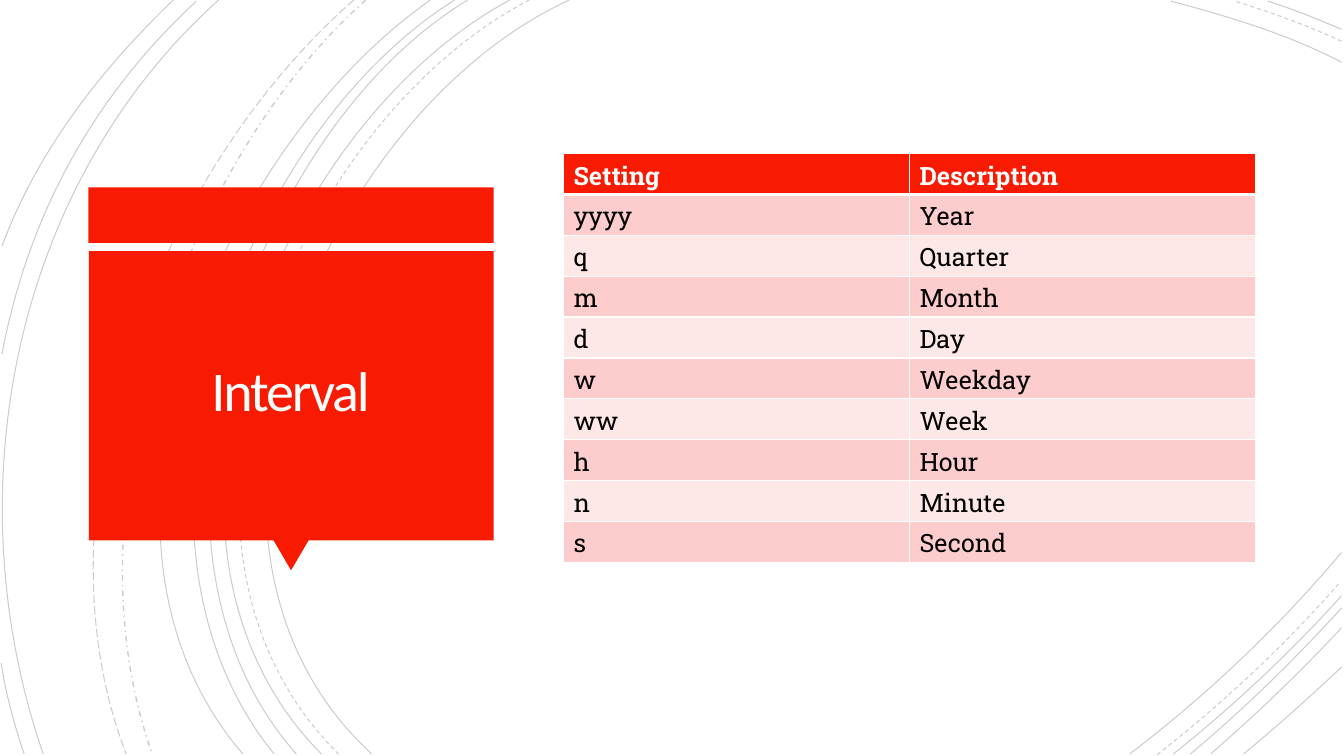
import dataclasses
import typing

import lxml.etree
import pptx
import pptx.dml.color
import pptx.enum.dml
import pptx.enum.shapes
import pptx.enum.text
import pptx.oxml.ns
import pptx.util

Cm = pptx.util.Cm
Pt = pptx.util.Pt
RGBColor = pptx.dml.color.RGBColor
Dash = pptx.enum.dml.MSO_LINE
Preset = pptx.enum.shapes.MSO_SHAPE
qn = pptx.oxml.ns.qn

RED = RGBColor(0xF8, 0x1B, 0x02)
DARK_BAND = RGBColor(0xFC, 0xCD, 0xCC)
LIGHT_BAND = RGBColor(0xFE, 0xE8, 0xE7)
WHITE = RGBColor(0xFF, 0xFF, 0xFF)
TITLE_WHITE = RGBColor(0xFF, 0xFE, 0xFF)
BLACK = RGBColor(0, 0, 0)


@dataclasses.dataclass
class Arc:
    """A cubic curve: start, two control points and end, in centimetres."""
    points: list[tuple[float, float]]
    dash: typing.Any = Dash.SOLID
    width: float = 0.75


@dataclasses.dataclass
class Block:
    preset: typing.Any
    left: float
    top: float
    width: float
    height: float
    rotation: int = 0


ARCS = [
    Arc([(14.35, 0), (8, 2.92), (3.63, 13.72), (9.37, 19)]),
    Arc([(33.81, 1.57), (32.46, 0.86), (30.94, 0.41), (29.51, 0.03)]),
    Arc([(28.47, 19), (30.4, 17.53), (32.23, 15.8), (33.81, 13.92)]),
    Arc([(13.34, 0), (7.24, 3.18), (3.12, 13.64), (8.53, 19)], Dash.DASH),
    Arc([(33.81, 1.04), (32.94, 0.64), (32, 0.3), (31.12, 0.03)], Dash.DASH),
    Arc([(29.16, 19.02), (30.81, 17.73), (32.39, 16.26), (33.78, 14.66)], Dash.DASH),
    Arc([(12.85, 0), (6.86, 3.23), (2.79, 13.64), (8.1, 19)]),
    Arc([(33.81, 0.74), (33.2, 0.48), (32.59, 0.23), (31.95, 0.03)]),
    Arc([(29.57, 19), (31.06, 17.81), (32.51, 16.46), (33.81, 15.01)]),
    Arc([(11.79, 0), (6.2, 3.38), (2.79, 13.74), (7.47, 19)]),
    Arc([(30, 19), (31.34, 17.88), (32.61, 16.64), (33.81, 15.32)]),
    Arc([(11.46, 0), (5.87, 3.51), (2.46, 13.54), (6.91, 19)]),
    Arc([(30.51, 19), (31.65, 18.01), (32.77, 16.94), (33.81, 15.82)]),
    Arc([(10.85, 0), (5.51, 3.73), (1.35, 13.44), (6.12, 19)]),
    Arc([(31.34, 19), (32.18, 18.31), (32.99, 17.58), (33.81, 16.81)]),
    Arc([(9.22, 0), (4.47, 4.22), (1.65, 12.93), (3.84, 19)], Dash.DASH_DOT, 1),
    Arc([(8.92, 0), (3.99, 4.29), (0.74, 12.67), (3.18, 19)], Dash.LONG_DASH),
    Arc([(5.51, 0), (0.28, 4.7), (-1.17, 12.45), (1.09, 19)]),
    Arc([(4.95, 0.03), (2.34, 2.44), (0.71, 5.44), (0.05, 8.92)]),
    Arc([(0.03, 16.71), (0.15, 17.5), (0.36, 18.26), (0.61, 19)]),
    Arc([(4.37, 0), (2.54, 1.75), (0.94, 3.81), (0.05, 6.2)]),
]

BLOCKS = [
    Block(Preset.RECTANGLE, 2.23, 4.72, 10.21, 1.4),
    Block(Preset.ISOSCELES_TRIANGLE, 6.89, 13.61, 0.89, 0.76, 180),
    Block(Preset.RECTANGLE, 2.24, 6.33, 10.2, 7.29),
]

INTERVALS = [
    ("Setting", "Description"),
    ("yyyy", "Year"),
    ("q", "Quarter"),
    ("m", "Month"),
    ("d", "Day"),
    ("w", "Weekday"),
    ("ww", "Week"),
    ("h", "Hour"),
    ("n", "Minute"),
    ("s", "Second"),
]


def set_format(target: typing.Any, values: dict[str, typing.Any]) -> None:
    for name, value in values.items():
        setattr(target, name, value)


def add_text(para: typing.Any, text: str, color: RGBColor,
             values: dict[str, typing.Any]) -> typing.Any:
    span = para.add_run()
    span.text = text
    set_format(span.font, values)
    span.font.color.rgb = color
    return span


def add_arc(page: typing.Any, arc: Arc) -> None:
    (start_x, start_y), *others = [(Cm(x), Cm(y)) for x, y in arc.points]
    builder = page.shapes.build_freeform(start_x, start_y)
    builder.add_line_segments(others, close=False)
    shape = builder.convert_to_shape()
    shape.shadow.inherit = False
    shape.fill.background()
    shape.line.color.rgb = BLACK
    set_format(shape.line, {"width": Pt(arc.width), "dash_style": arc.dash})

    # Line strokes are 20% opaque
    color = shape.line._ln.find(".//" + qn("a:srgbClr"))
    lxml.etree.SubElement(color, qn("a:alpha"), val="20000")

    # Turn the three segments into one cubic curve
    outline = shape._element.find(".//" + qn("a:path"))
    curve = lxml.etree.SubElement(outline, qn("a:cubicBezTo"))
    for segment in outline.findall(qn("a:lnTo")):
        curve.append(segment[0])
        outline.remove(segment)


def add_block(page: typing.Any, block: Block) -> None:
    shape = page.shapes.add_shape(block.preset, Cm(block.left), Cm(block.top),
                                  Cm(block.width), Cm(block.height))
    shape.rotation = block.rotation
    shape.shadow.inherit = False
    shape.fill.solid()
    shape.fill.fore_color.rgb = RED
    shape.line.fill.background()


def add_title(page: typing.Any, text: str) -> None:
    box = page.shapes.add_textbox(Cm(2.46), Cm(6.53), Cm(9.73), Cm(6.83))
    inset = Cm(0.64)
    set_format(box.text_frame, {
        "word_wrap": True,
        "vertical_anchor": pptx.enum.text.MSO_ANCHOR.MIDDLE,
        "margin_left": inset, "margin_right": inset,
        "margin_top": inset, "margin_bottom": inset,
    })
    para = box.text_frame.paragraphs[0]
    set_format(para, {"alignment": pptx.enum.text.PP_ALIGN.CENTER,
                      "line_spacing": 0.85})
    span = add_text(para, text, TITLE_WHITE, {"name": "Calibri", "size": Pt(40)})
    span.font._element.set("spc", "-150")


def add_borders(cell: typing.Any, widths: dict[str, float]) -> None:
    properties = cell._tc.get_or_add_tcPr()
    for side, width in widths.items():
        border = lxml.etree.SubElement(properties, qn(f"a:{side}"), w=str(Pt(width)))
        fill = lxml.etree.SubElement(border, qn("a:solidFill"))
        lxml.etree.SubElement(fill, qn("a:srgbClr"), val=str(WHITE))


def add_interval_table(page: typing.Any, rows: list[tuple[str, str]]) -> None:
    table = page.shapes.add_table(len(rows), 2, Cm(14.2), Cm(3.87),
                                  Cm(17.44), Cm(10.3)).table
    for column in table.columns:
        column.width = Cm(8.72)
    for index, texts in enumerate(rows):
        table.rows[index].height = Cm(1.03)
        header = index == 0
        band = RED if header else DARK_BAND if index % 2 else LIGHT_BAND
        for cell, text in zip(table.rows[index].cells, texts):
            add_borders(cell, {"lnL": 1, "lnR": 1, "lnT": 3 if index == 1 else 1,
                               "lnB": 3 if header else 1})
            cell.fill.solid()
            cell.fill.fore_color.rgb = band
            add_text(cell.text_frame.paragraphs[0], text,
                     WHITE if header else BLACK,
                     {"name": "Roboto Slab", "size": Pt(18), "bold": header})


deck = pptx.Presentation()
set_format(deck, {"slide_width": Cm(33.87), "slide_height": Cm(19.05)})
page = deck.slides.add_slide(deck.slide_layouts[6])

# Background curves
for arc in ARCS:
    add_arc(page, arc)

# Title panel with its pointer
for block in BLOCKS:
    add_block(page, block)
add_title(page, "Interval")

# Interval settings
add_interval_table(page, INTERVALS)

deck.save("out.pptx")
